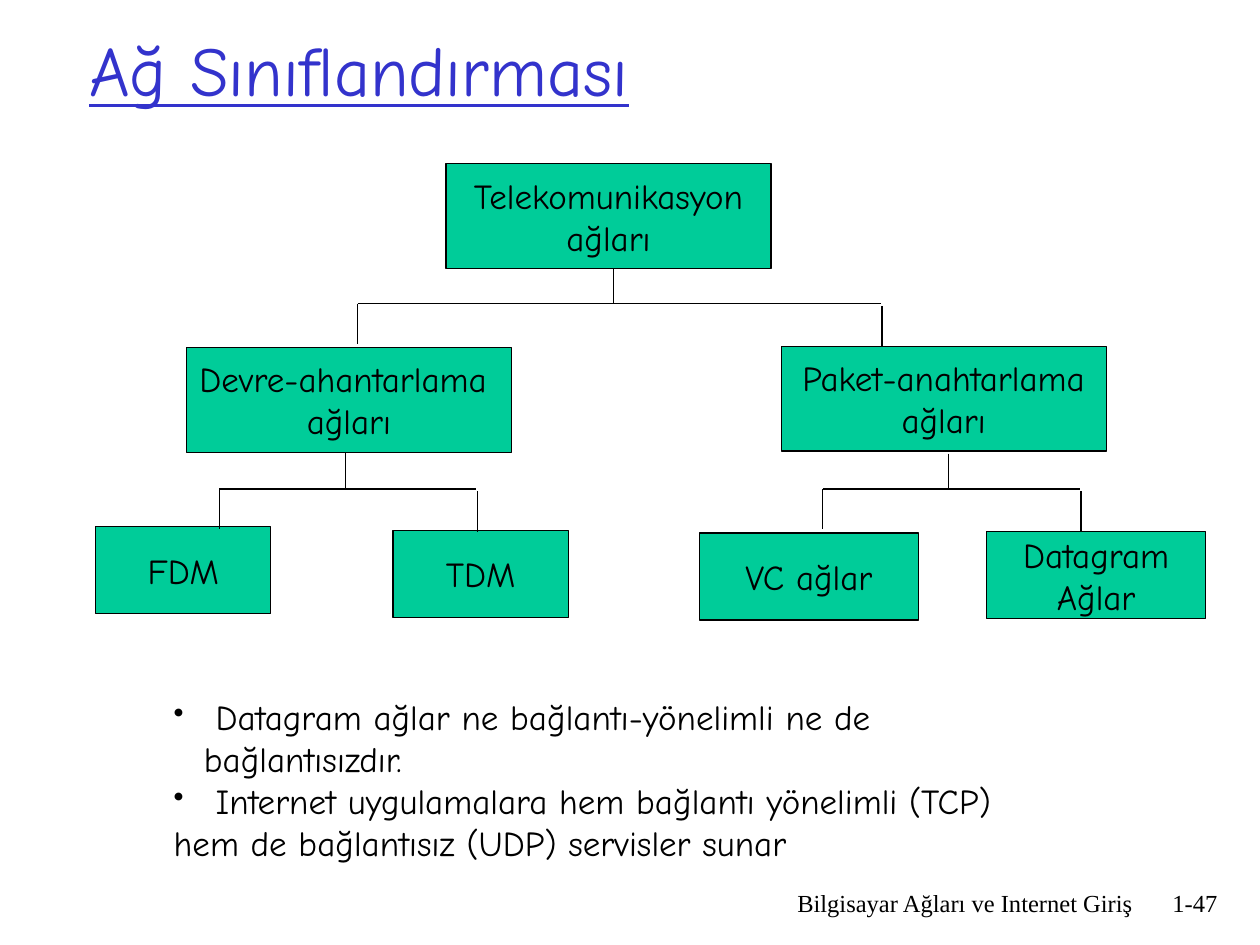
from lxml.etree import SubElement
from pptx import Presentation
from pptx.dml.color import RGBColor
from pptx.enum.shapes import MSO_CONNECTOR as Link, MSO_SHAPE as Form
from pptx.enum.text import MSO_ANCHOR as Anchor, MSO_AUTO_SIZE as Fit, PP_ALIGN as Align
from pptx.oxml.ns import qn
from pptx.util import Inches, Pt

BLACK = RGBColor(0x00, 0x00, 0x00)
BLUE = RGBColor(0x33, 0x33, 0xCC)
GREEN = RGBColor(0x00, 0xCC, 0x99)
HAND, SERIF = "Comic Neue", "Times New Roman"
BIG, SMALL = (2.58, 0.83), 0.69
DROP = 0.32


class Board:
    """Holds the slide and the style of its elements."""

    def __init__(self, slide):
        """Start drawing on a slide."""
        self.shapes = slide.shapes
        self.width = Pt(0.75)

    def fill(self, frame, lines, size=20, face=HAND, color=BLACK, align=Align.LEFT):
        """Fill a text frame, one paragraph a line."""
        frame.text = "\n".join(lines)
        for para in frame.paragraphs:
            para.alignment = align
            para.font.size = Pt(size)
            para.font.name = face
            para.font.color.rgb = color

    def text(self, x, y, w, h, *lines, **style):
        """Add a wrapping text box and return its frame."""
        box = self.shapes.add_textbox(Inches(x), Inches(y), Inches(w), Inches(h))
        frame = box.text_frame
        frame.word_wrap = True
        self.fill(frame, lines, **style)
        return frame

    def node(self, x, y, w, h, *lines):
        """Add a green box of the tree."""
        box = self.shapes.add_shape(
            Form.RECTANGLE, Inches(x), Inches(y), Inches(w), Inches(h))
        box.shadow.inherit = False
        box.fill.solid()
        box.fill.fore_color.rgb = GREEN
        box.line.color.rgb = BLACK
        box.line.width = self.width
        frame = box.text_frame
        frame.word_wrap = False
        frame.vertical_anchor = Anchor.MIDDLE
        self.fill(frame, lines, align=Align.CENTER)

    def line(self, x1, y1, x2, y2):
        """Add a thin black line."""
        link = self.shapes.add_connector(
            Link.STRAIGHT, Inches(x1), Inches(y1), Inches(x2), Inches(y2))
        link.line.color.rgb = BLACK
        link.line.width = self.width
        SubElement(link._element.spPr, qn("a:effectLst"))

    def branch(self, stem, top, bar, left, right):
        """Join a parent to its two children."""
        self.line(left, bar, right - 0.01, bar)
        self.line(right, bar + 0.02, right, bar + 0.02 + DROP)
        self.line(left, bar, left, bar + DROP)
        self.line(stem, top, stem, bar)

    def bullet(self, para, indent):
        """Give a paragraph a hanging bullet."""
        props = para._p.get_or_add_pPr()
        props.set("marL", str(Inches(indent)))
        props.set("indent", str(-Inches(indent)))
        color = SubElement(props, qn("a:buClr"))
        SubElement(color, qn("a:srgbClr"), val=str(BLACK))
        SubElement(props, qn("a:buSzPct"), val="85000")
        SubElement(props, qn("a:buChar"), char="•")
        # Schema order: bullet marks come before the default run style
        style = props.find(qn("a:defRPr"))
        if style is not None:
            props.append(style)


def main():
    """Build the slide and save it."""
    deck = Presentation()
    deck.slide_width, deck.slide_height = Inches(10), Inches(7.5)
    board = Board(deck.slides.add_slide(deck.slide_layouts[6]))

    foot = dict(size=14, face=SERIF, align=Align.RIGHT)
    board.text(5.92, 7, 3.17, 0.5, "Bilgisayar Ağları ve Internet Giriş", **foot)
    board.text(9.08, 7, 0.68, 0.5, "1-47", **foot)

    title = board.text(0.61, 0, 8.5, 1.09, "Ağ Sınıflandırması", size=40, color=BLUE)
    title.vertical_anchor = Anchor.MIDDLE
    title.paragraphs[0].font.underline = True

    board.node(3.54, 1.3, *BIG, "Telekomunikasyon", "ağları")
    board.node(1.48, 2.76, *BIG, "Devre-ahantarlama ", "ağları")
    board.node(0.76, 4.18, 1.39, SMALL, "FDM")
    board.node(3.12, 4.21, 1.39, SMALL, "TDM")
    board.node(6.2, 2.75, *BIG, "Paket-anahtarlama", "ağları")
    board.node(5.55, 4.23, 1.74, SMALL, "VC ağlar")
    board.node(7.83, 4.22, 1.74, SMALL, "Datagram", "Ağlar")

    board.branch(2.74, 3.59, 3.88, 1.74, 3.79)
    board.branch(7.53, 3.6, 3.88, 6.53, 8.58)
    board.branch(4.87, 2.13, 2.41, 2.84, 7)

    notes = board.text(
        1.28, 5.47, 7.28, 1.1,
        " Datagram ağlar ne bağlantı-yönelimli ne de bağlantısızdır.",
        " Internet uygulamalara hem bağlantı yönelimli (TCP)",
        "hem de bağlantısız (UDP) servisler sunar")
    notes.auto_size = Fit.SHAPE_TO_FIT_TEXT
    for para in notes.paragraphs[:2]:
        board.bullet(para, 0.24)

    deck.save("out.pptx")


main()
